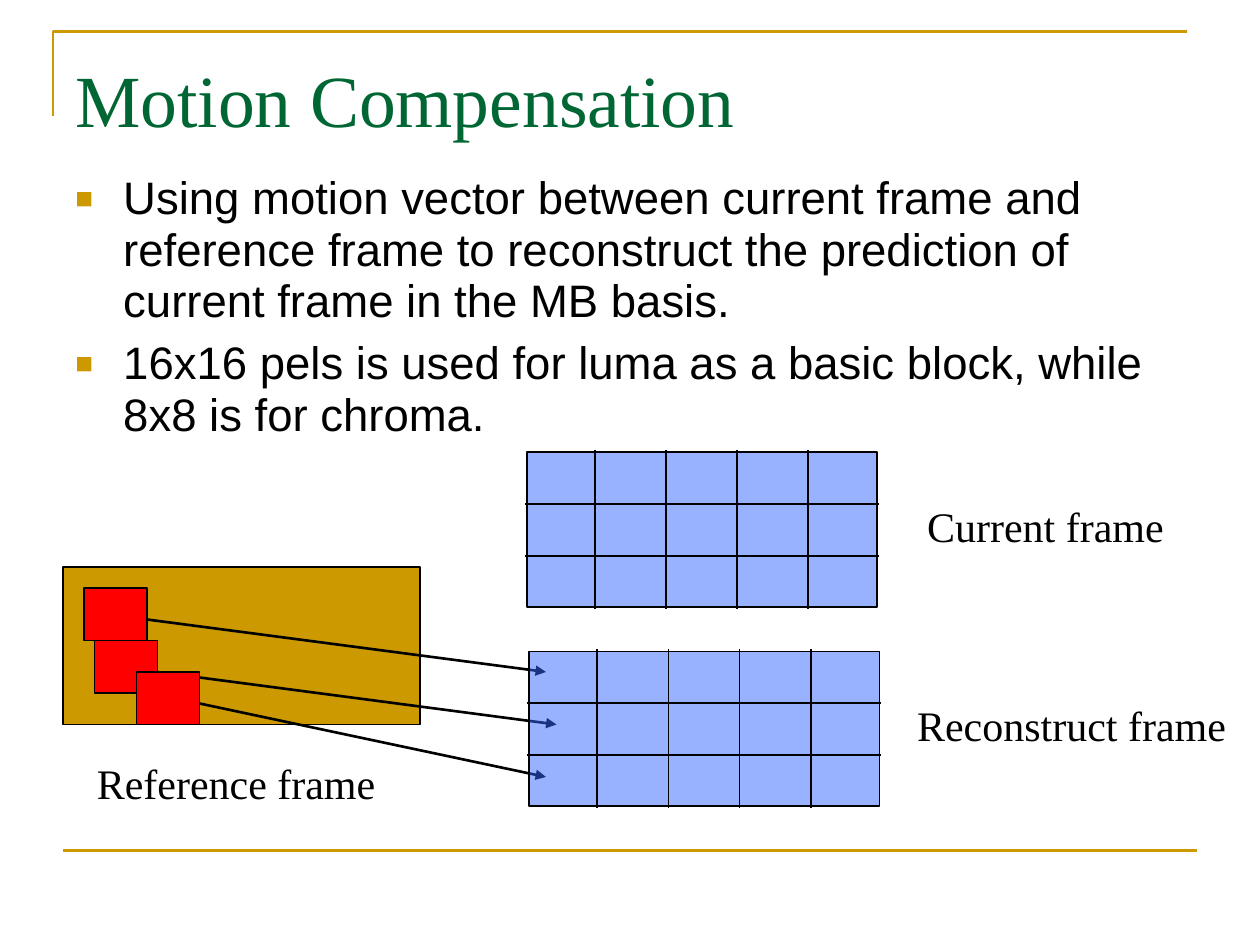
from dataclasses import dataclass

from lxml import etree
from pptx import Presentation
from pptx import util as u
from pptx.dml.color import RGBColor
from pptx.enum import shapes, text
from pptx.oxml.ns import qn


@dataclass(frozen=True)
class Theme:
    gold: str = "CC9900"
    green: str = "006633"
    ink: str = "000000"
    blue: str = "3366FF"
    red: str = "FF0000"
    serif: str = "Times New Roman"
    sans: str = "Arial"
    title_size: int = 42
    body_size: int = 26
    label_size: int = 24


THEME = Theme()
CELL = u.Inches(1) // 12  # the slide is laid out on twelve cells per inch
BULLETS = [
    "Using motion vector between current frame and reference frame to "
    "reconstruct the prediction of current frame in the MB basis.",
    "16x16 pels is used for luma as a basic block, while 8x8 is for chroma.",
]
# Column and row of each block, then of the tip of its motion vector
MOTION_VECTORS = [((8, 56), (52, 64)), ((9, 61), (53, 69)), ((13, 64), (52, 74))]
BLOCK_COLS, BLOCK_ROWS = 6, 5


def cells(*counts):
    return [round(count * CELL) for count in counts]


def inches(*lengths):
    return [u.Inches(length) for length in lengths]


def add_line(slide, start, end, color=THEME.ink, width=1, arrow=False):
    line = slide.shapes.add_connector(shapes.MSO_CONNECTOR.STRAIGHT, *start, *end)
    line.line.color.rgb = RGBColor.from_string(color)
    line.line.width = u.Pt(width)
    properties = line._element.spPr
    if arrow:
        etree.SubElement(properties.find(qn("a:ln")), qn("a:tailEnd"), type="triangle")
    etree.SubElement(properties, qn("a:effectLst"))


def add_box(slide, bounds, fill, width=0.75, alpha=None):
    box = slide.shapes.add_shape(shapes.MSO_SHAPE.RECTANGLE, *bounds)
    box.shadow.inherit = False
    box.fill.solid()
    box.fill.fore_color.rgb = RGBColor.from_string(fill)
    box.line.color.rgb = RGBColor.from_string(THEME.ink)
    box.line.width = u.Pt(width)
    if alpha is not None:
        color = box._element.spPr.find(qn("a:solidFill"))[0]
        etree.SubElement(color, qn("a:alpha"), val=str(alpha * 1000))


def add_text(slide, bounds, lines, font, size, color=THEME.ink, wrap=True):
    frame = slide.shapes.add_textbox(*bounds).text_frame
    frame.word_wrap = wrap
    frame.vertical_anchor = text.MSO_ANCHOR.TOP
    frame.text = "\n".join(lines)
    for paragraph in frame.paragraphs:
        paragraph.font.name = font
        paragraph.font.size = u.Pt(size)
        paragraph.font.color.rgb = RGBColor.from_string(color)
    return frame


def add_label(slide, bounds, caption):
    add_text(slide, inches(*bounds), [caption], THEME.serif, THEME.label_size, wrap=False)


def add_bullets(frame):
    for paragraph in frame.paragraphs:
        paragraph.line_spacing = 0.94
        paragraph.space_before = u.Pt(6.5)
        properties = paragraph._p.get_or_add_pPr()
        properties.set("marL", str(u.Inches(0.38)))
        properties.set("indent", str(-u.Inches(0.38)))
        marks = [
            etree.Element(qn("a:buClr")),
            etree.Element(qn("a:buSzPct"), val="65000"),
            etree.Element(qn("a:buFont"), typeface=THEME.sans),
            etree.Element(qn("a:buChar"), char="■"),
        ]
        etree.SubElement(marks[0], qn("a:srgbClr"), val=THEME.gold)
        defaults = properties.find(qn("a:defRPr"))
        for mark in marks:
            defaults.addprevious(mark)


def add_frame_grid(slide, left, top):
    """Draw a translucent frame divided into five by three macroblocks."""
    width, height, overhang = 2.78, 1.23, 0.015
    add_box(slide, inches(left, top, width, height), THEME.blue, 1, alpha=50)
    for row in (1, 2):
        y = top + row * 0.41
        add_line(slide, inches(left - overhang, y), inches(left + width + overhang, y))
    for column in range(4):
        x = left + 0.54 + column * 0.565
        add_line(slide, inches(x, top - overhang), inches(x, top + height + overhang))


def add_slide_rules(slide):
    builder = slide.shapes.build_freeform(*inches(0.42, 0.92))
    builder.add_line_segments([inches(0.42, 0.25), inches(9.42, 0.25)], close=False)
    corner = builder.convert_to_shape()
    corner.shadow.inherit = False
    corner.fill.background()
    corner.line.color.rgb = RGBColor.from_string(THEME.gold)
    corner.line.width = u.Pt(1.5)
    add_line(slide, cells(6, 81), cells(114, 81), THEME.gold, 1.5)


def add_motion_vector(slide, block, tip):
    column, row = block
    add_box(slide, cells(column, row, BLOCK_COLS, BLOCK_ROWS), THEME.red)
    add_line(slide, cells(column + BLOCK_COLS, row + 3), cells(*tip), width=1.5, arrow=True)


def main():
    deck = Presentation()
    deck.slide_width, deck.slide_height = inches(10, 7.5)
    slide = deck.slides.add_slide(deck.slide_layouts[6])

    add_slide_rules(slide)
    title = add_text(slide, inches(0.5, 0.3, 9, 1.25), ["Motion Compensation"],
                     THEME.serif, THEME.title_size, THEME.green)
    title.margin_top = u.Inches(0.13)
    add_bullets(add_text(slide, inches(0.5, 1.33, 9, 2.33), BULLETS,
                         THEME.sans, THEME.body_size))

    add_box(slide, cells(6, 54, 34, 15), THEME.gold)
    add_label(slide, (0.67, 5.96, 2.41, 0.5), "Reference frame")
    add_frame_grid(slide, 4.18, 3.59)
    add_label(slide, (7.26, 3.92, 2.08, 0.5), "Current frame")
    for block, tip in MOTION_VECTORS:
        add_motion_vector(slide, block, tip)
    add_frame_grid(slide, 4.2, 5.17)
    add_label(slide, (7.18, 5.5, 2.65, 0.5), "Reconstruct frame")

    deck.save("out.pptx")


if __name__ == "__main__":
    main()
